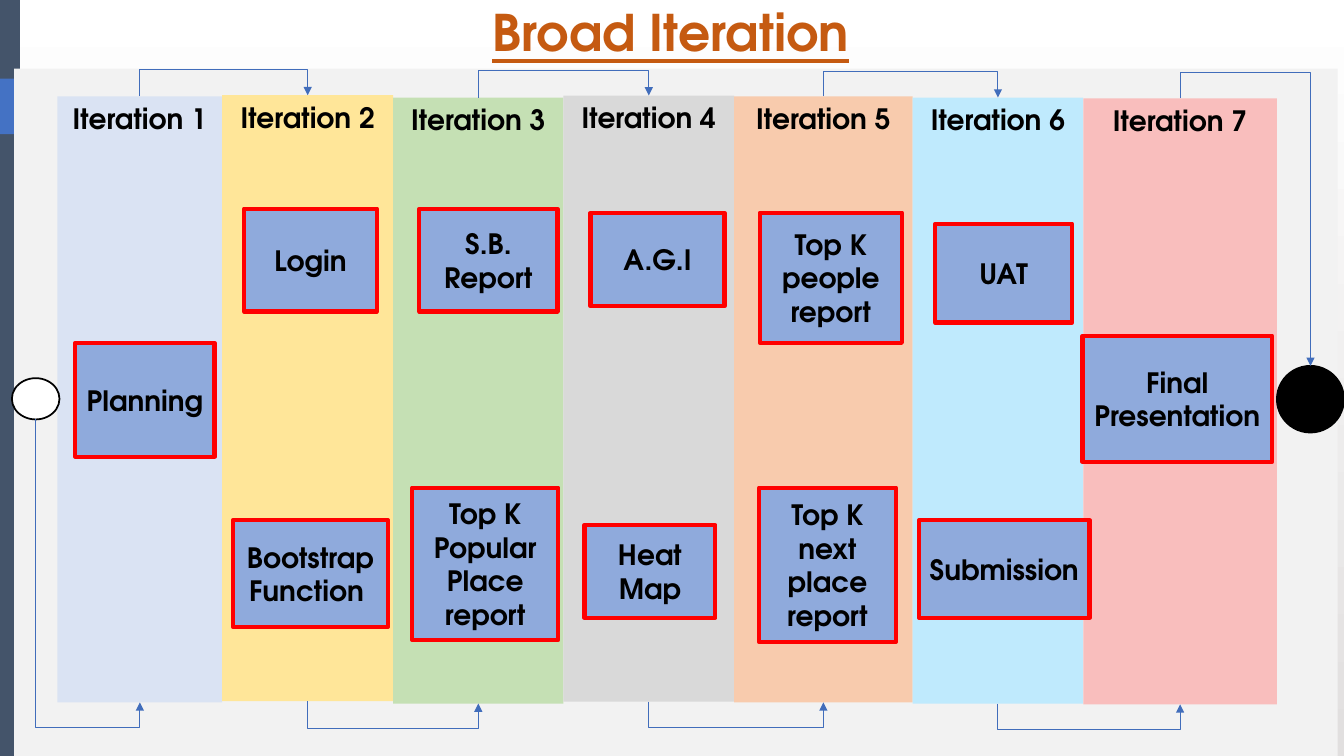
from lxml.etree import SubElement
from pptx import Presentation
from pptx.dml.color import RGBColor
from pptx.enum.shapes import MSO_CONNECTOR as Link, MSO_SHAPE as Kind
from pptx.enum.text import MSO_ANCHOR as Anchor, PP_ALIGN as Align
from pptx.oxml.ns import qn
from pptx.util import Cm, Pt

WIDE, HIGH = 33.87, 19.05
TALL = 15.27  # height of every column
GAP = 0.64  # how far the arrows run outside the columns

# name, left, top, fill
COLUMNS = [
    ("Iteration 1", 1.45, 2.43, "DAE3F3"),
    ("Iteration 2", 5.6, 2.4, "FFE699"),
    ("Iteration 3", 9.91, 2.46, "C5E0B4"),
    ("Iteration 4", 14.2, 2.41, "D9D9D9"),
    ("Iteration 5", 18.5, 2.43, "F8CBAD"),
    ("Iteration 6", 23, 2.46, "BFEAFD"),
    ("Iteration 7", 27.3, 2.48, "F9BEBD"),
]
RIGHT = 32.18  # right edge of the last column

# name, left, top, width, height
TASKS = [
    ("Planning", 1.9, 8.64, 3.51, 2.87),
    ("Login", 6.15, 5.26, 3.35, 2.59),
    ("Bootstrap Function ", 5.87, 13.11, 3.91, 2.69),
    ("S.B. Report", 10.57, 5.26, 3.48, 2.59),
    ("Top K Popular Place report", 10.39, 12.29, 3.68, 3.84),
    ("A.G.I", 14.88, 5.36, 3.38, 2.36),
    ("Heat Map", 14.73, 13.23, 3.3, 2.34),
    ("Top K people report", 19.15, 5.36, 3.58, 3.28),
    ("Top K next place report", 19.13, 12.29, 3.45, 3.89),
    ("UAT", 23.57, 5.64, 3.45, 2.49),
    ("Submission", 23.16, 13.11, 4.3, 2.46),
    ("Final Presentation", 27.28, 8.46, 4.78, 3.18),
]
START = (0.3, 9.53, 1.2, 1.04)
END = (32.18, 9.22, 1.69, 1.68)


def color(code):
    return RGBColor.from_string(code)


class Board:
    font = "TeX Gyre Adventor"
    ink = "000000"
    blue = "416DBB"

    def __init__(self, deck):
        self.slide = deck.slides.add_slide(deck.slide_layouts[5])
        self.shapes = self.slide.shapes

    def back(self, top, bottom):
        fill = self.slide.background.fill
        fill.gradient()
        fill.gradient_angle = 270
        for stop, code in zip(fill.gradient_stops, (top, bottom)):
            stop.color.rgb = color(code)

    def label(self, shape, text, size, code, anchor):
        frame = shape.text_frame
        frame.text = text
        frame.word_wrap = True
        frame.vertical_anchor = anchor
        para = frame.paragraphs[0]
        para.alignment = Align.CENTER
        para.line_spacing = 1.0
        font = para.runs[0].font
        font.name, font.size, font.bold = self.font, Pt(size), True
        font.color.rgb = color(code)
        return font

    def title(self, text, left, top, width, height):
        shape = self.shapes.title
        shape.left, shape.top = Cm(left), Cm(top)
        shape.width, shape.height = Cm(width), Cm(height)
        self.label(shape, text, 36, "C55A11", Anchor.TOP).underline = True

    def shape(self, kind, area, fill, edge=None, weight=1.25):
        shape = self.shapes.add_shape(kind, *map(Cm, area))
        shape.shadow.inherit = False
        shape.fill.solid()
        shape.fill.fore_color.rgb = color(fill)
        if edge:
            shape.line.color.rgb = color(edge)
            shape.line.width = Pt(weight)
        else:
            shape.line.fill.background()
        return shape

    def column(self, name, area, fill):
        shape = self.shape(Kind.RECTANGLE, area, fill)
        self.label(shape, name, 20, self.ink, Anchor.TOP)

    def task(self, name, area):
        shape = self.shape(Kind.RECTANGLE, area, "8FAADC", "FF0000", 3)
        self.label(shape, name, 20, self.ink, Anchor.MIDDLE)

    def arrow(self, tail, head, rail):
        """Run from tail up or down to the height rail, across, and to head."""
        (x1, y1), (x2, y2) = tail, head
        rise, run = y2 - y1, x2 - x1
        midx, midy = (x1 + x2) / 2, (y1 + y2) / 2
        # The elbow is laid out on its side, then turned a quarter
        half = abs(rise) / 2
        side = run / 2 if rise > 0 else -run / 2
        ends = (midx + half, midy - side, midx - half, midy + side)
        link = self.shapes.add_connector(Link.ELBOW, *map(Cm, ends))
        link.line.color.rgb = color(self.blue)
        link.line.width = Pt(0.75)
        prop = link._element.spPr
        turn = 270 if rise > 0 else 90
        prop.find(qn("a:xfrm")).set("rot", str(turn * 60000))
        bend = round((rail - y1) / rise * 100000)
        guides = prop.find(qn("a:prstGeom")).find(qn("a:avLst"))
        SubElement(guides, qn("a:gd"), name="adj1", fmla=f"val {bend}")
        SubElement(prop.find(qn("a:ln")), qn("a:tailEnd"), type="triangle")
        SubElement(prop, qn("a:effectLst"))


def main():
    deck = Presentation()
    deck.slide_width, deck.slide_height = Cm(WIDE), Cm(HIGH)
    board = Board(deck)
    board.back("FFFFFF", "E1DFDF")
    board.title("Broad Iteration", 0.1, -0.1, 33.6, 3.68)
    board.shape(Kind.RECTANGLE, (0, 0, 0.5, HIGH), "44546A")
    board.shape(Kind.PENTAGON, (0, 1.98, 4.42, 1.4), "4472C4")
    board.shape(Kind.RECTANGLE, (0.36, 1.73, 33.35, 17.32), "F2F2F2")

    edges = [left for _, left, _, _ in COLUMNS] + [RIGHT]
    tops, feet = [], []
    for (name, left, top, fill), right in zip(COLUMNS, edges[1:]):
        board.column(name, (left, top, right - left, TALL), fill)
        mid = (left + right) / 2
        tops.append((mid, top))
        feet.append((mid, top + TALL))
    for name, *area in TASKS:
        board.task(name, area)
    board.shape(Kind.OVAL, START, "FFFFFF", board.ink)
    board.shape(Kind.OVAL, END, board.ink, board.ink)

    # Arrows run below and above the columns by turns
    left, top, width, height = START
    lower = [(left + width / 2, top + height), *feet]
    left, top, width, height = END
    upper = [*tops, (left + width / 2, top)]
    for tail, head in zip(lower[::2], lower[1::2]):
        board.arrow(tail, head, max(tail[1], head[1]) + GAP)
    for tail, head in zip(upper[::2], upper[1::2]):
        board.arrow(tail, head, min(tail[1], head[1]) - GAP)
    deck.save("out.pptx")


if __name__ == "__main__":
    main()
